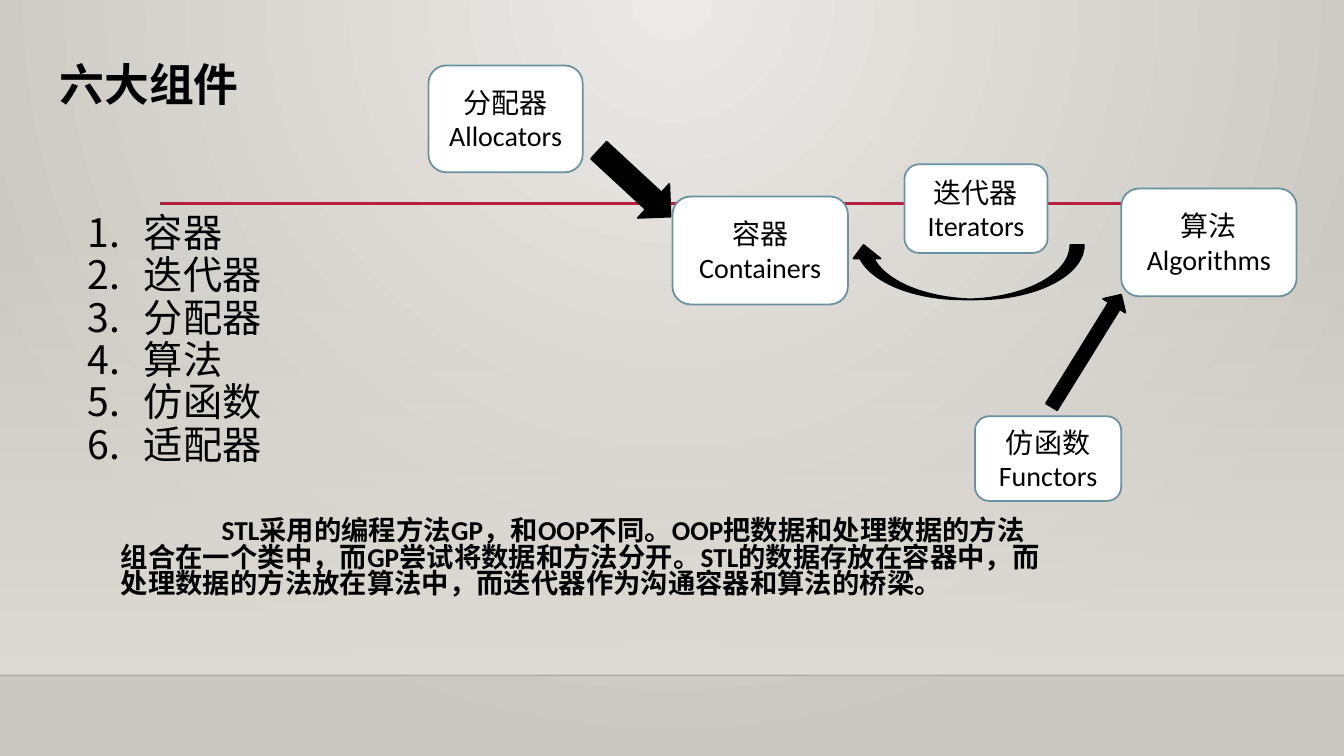
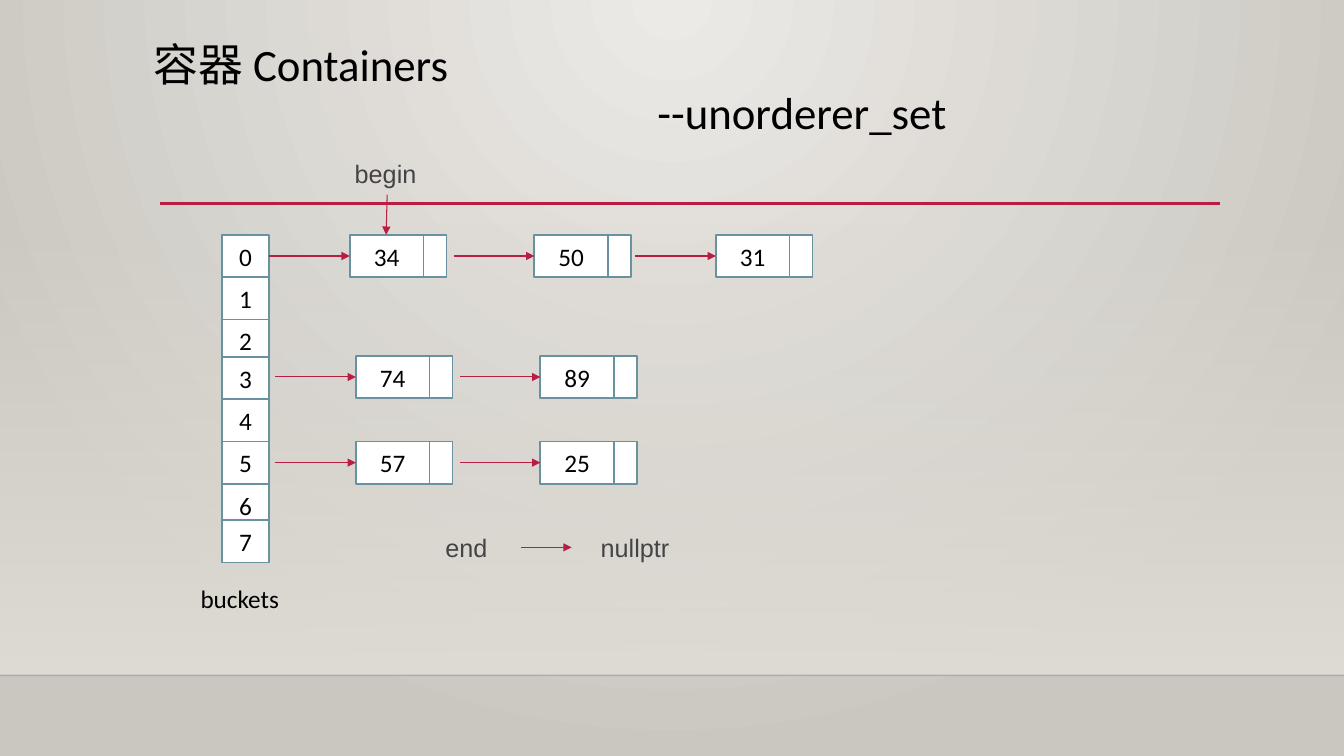
"""Build two slides on the six STL components and the hash set container."""
from dataclasses import dataclass
from typing import Any

from lxml.etree import SubElement
from pptx import Presentation
from pptx.dml.color import RGBColor
from pptx.enum.shapes import MSO_CONNECTOR, MSO_SHAPE
from pptx.enum.text import MSO_ANCHOR, MSO_AUTO_SIZE, PP_ALIGN
from pptx.oxml import parse_xml
from pptx.oxml.ns import nsdecls, qn
from pptx.util import Inches, Pt

BLACK = RGBColor(0x00, 0x00, 0x00)
WHITE = RGBColor(0xFF, 0xFF, 0xFF)
GRAY = RGBColor(0x44, 0x44, 0x44)
CRIMSON = RGBColor(0xB7, 0x1E, 0x42)
TEAL = RGBColor(0x68, 0x92, 0xA0)
GLOW = RGBColor(0xEC, 0xEA, 0xE7)
STONE = RGBColor(0xCA, 0xC7, 0xC1)
SAND = RGBColor(0xDF, 0xDB, 0xD5)
HORIZON = RGBColor(0x00, 0x00, 0x01)

TITLE_FONT = {"name": "Calibri", "size": Pt(32), "bold": False}
LIST_FONT = {"name": "Calibri", "size": Pt(28)}
BLOCK_FONT = {"name": "Calibri", "size": Pt(20)}
NOTE_FONT = {"name": "Calibri", "size": Pt(19.5), "bold": True}
CELL_FONT = {"name": "Calibri", "size": Pt(18)}
LABEL_FONT = {"name": "Arial", "size": Pt(18)}

CENTERED = {"alignment": PP_ALIGN.CENTER}
TIGHT = {"alignment": PP_ALIGN.LEFT, "line_spacing": 0.9}
TIGHTER = {"alignment": PP_ALIGN.LEFT, "line_spacing": 0.8}
TOP_FRAME = {"word_wrap": True, "vertical_anchor": MSO_ANCHOR.TOP,
             "auto_size": MSO_AUTO_SIZE.NONE}

CELL_HEIGHT = 0.42
BUCKET_LEFT, BUCKET_WIDTH = 2.2, 0.47
VALUE_WIDTH, POINTER_WIDTH = 0.73, 0.23
LINK_LENGTH = 0.8


@dataclass(frozen=True)
class Box:
    """A position and size in inches."""
    left: float
    top: float
    width: float
    height: float

    def lengths(self) -> list[Inches]:
        """Return the four values as lengths."""
        return [Inches(v) for v in (self.left, self.top, self.width, self.height)]


@dataclass(frozen=True)
class Component:
    """A named STL component."""
    box: Box
    chinese: str
    english: str


@dataclass(frozen=True)
class Arrow:
    """A solid block arrow."""
    box: Box
    kind: MSO_SHAPE
    rotation: float


@dataclass(frozen=True)
class Chain:
    """A linked list hanging from one bucket."""
    top: float
    lefts: tuple[float, ...]
    values: tuple[str, ...]


@dataclass(frozen=True)
class Label:
    """A caption beside the hash table."""
    box: Box
    text: str
    font: dict[str, Any]
    color: RGBColor


COMPONENTS = (
    Component(Box(4.25, 0.65, 1.53, 1.06), "分配器", "Allocators"),
    Component(Box(6.67, 1.95, 1.74, 1.07), "容器", "Containers"),
    Component(Box(8.97, 1.63, 1.42, 0.88), "迭代器", "Iterators"),
    Component(Box(11.12, 1.87, 1.74, 1.07), "算法", "Algorithms"),
    Component(Box(9.67, 4.13, 1.45, 0.84), "仿函数", "Functors"),
)
ALLOCATION = Arrow(Box(5.81, 1.59, 0.97, 0.46), MSO_SHAPE.RIGHT_ARROW, 42.8)
ITERATION = Arrow(Box(8.43, 2.43, 2.32, 0.54), MSO_SHAPE.CURVED_DOWN_ARROW, 180)
FUNCTION_USE = Arrow(Box(10.12, 3.35, 1.31, 0.26), MSO_SHAPE.RIGHT_ARROW, 301.8)
COMPONENT_NAMES = ("容器", "迭代器", "分配器", "算法", "仿函数", "适配器")
EXPLANATION = (
    "STL采用的编程方法GP，和OOP不同。OOP把数据和处理数据的方法组合在一个类中，"
    "而GP尝试将数据和方法分开。STL的数据存放在容器中，而处理数据的方法放在算法中，"
    "而迭代器作为沟通容器和算法的桥梁。"
)

BUCKET_GROUPS = ((2.33, "012"), (3.54, "3456"), (5.16, "7"))
CHAINS = (
    Chain(2.33, (3.47, 5.3, 7.1), ("34", "50", "31")),
    Chain(3.53, (3.53, 5.36), ("74", "89")),
    Chain(4.38, (3.53, 5.36), ("57", "25")),
)
LABELS = (
    Label(Box(1.89, 5.74, 1.08, 0.71), "buckets", CELL_FONT, BLACK),
    Label(Box(3.42, 1.52, 0.84, 0.4), "begin", LABEL_FONT, GRAY),
    Label(Box(4.32, 5.23, 0.84, 0.4), "end", LABEL_FONT, GRAY),
    Label(Box(5.86, 5.23, 0.97, 0.71), "nullptr", LABEL_FONT, GRAY),
)


def apply_format(target: Any, values: dict[str, Any]) -> None:
    """Set every attribute named in the format."""
    for name, value in values.items():
        setattr(target, name, value)


def write(frame: Any, lines: tuple[str, ...], font: dict[str, Any],
          layout: dict[str, Any], color: RGBColor = BLACK) -> None:
    """Write one formatted paragraph per line."""
    for index, line in enumerate(lines):
        paragraph = frame.add_paragraph() if index else frame.paragraphs[0]
        apply_format(paragraph, layout)
        run = paragraph.add_run()
        run.text = line
        apply_format(run.font, font)
        run.font.color.rgb = color


def indent(paragraph: Any, left: float, first: float) -> Any:
    """Indent a paragraph and return its properties."""
    properties = paragraph._p.get_or_add_pPr()
    properties.set("marL", str(Inches(left)))
    properties.set("indent", str(Inches(first)))
    return properties


def add_title(slide: Any, box: Box, lines: tuple[str, ...], bold: bool) -> Any:
    """Place and write the slide title."""
    title = slide.shapes.title
    title.left, title.top, title.width, title.height = box.lengths()
    apply_format(title.text_frame, TOP_FRAME)
    write(title.text_frame, lines, {**TITLE_FONT, "bold": bold}, TIGHT)
    return title.text_frame


def add_text(slide: Any, box: Box, lines: tuple[str, ...], font: dict[str, Any],
             layout: dict[str, Any], color: RGBColor = BLACK) -> Any:
    """Add a wrapped text box."""
    frame = slide.shapes.add_textbox(*box.lengths()).text_frame
    apply_format(frame, TOP_FRAME)
    write(frame, lines, font, layout, color)
    return frame


def add_block(slide: Any, kind: MSO_SHAPE, box: Box, fill: RGBColor = WHITE,
              outline: RGBColor = TEAL) -> Any:
    """Add a filled and outlined shape."""
    block = slide.shapes.add_shape(kind, *box.lengths())
    block.shadow.inherit = False
    block.fill.solid()
    block.fill.fore_color.rgb = fill
    block.line.color.rgb = outline
    block.line.width = Pt(1.25)
    return block


def add_line(slide: Any, start: tuple[float, float], end: tuple[float, float],
             color: RGBColor = CRIMSON, width: float = 0.75, pointed: bool = True) -> Any:
    """Add a straight line, pointed at its end if wanted."""
    points = [Inches(v) for v in (*start, *end)]
    line = slide.shapes.add_connector(MSO_CONNECTOR.STRAIGHT, *points)
    line.line.color.rgb = color
    line.line.width = Pt(width)
    properties = line.element.spPr
    if pointed:
        SubElement(properties.find(qn("a:ln")), qn("a:tailEnd"), type="triangle")
    SubElement(properties, qn("a:effectLst"))
    return line


def set_stops(fill: Any, colors: tuple[RGBColor, RGBColor]) -> None:
    """Make a two-stop gradient."""
    fill.gradient()
    for stop, position, color in zip(fill.gradient_stops, (0, 1), colors):
        stop.position = position
        stop.color.rgb = color


def set_opacity(element: Any, percent: int) -> None:
    """Set the opacity of the first colour in an element."""
    color = next(element.iter(qn("a:srgbClr")))
    SubElement(color, qn("a:alpha"), val=str(percent * 1000))


def decorate_layout(layout: Any, slide: Any) -> None:
    """Give the layout its background, floor band and rules."""
    set_stops(layout.background.fill, (GLOW, STONE))
    linear = next(layout.element.iter(qn("a:lin")))
    linear.getparent().replace(linear, parse_xml(
        f'<a:path {nsdecls("a")} path="circle">'
        '<a:fillToRect l="43000" t="0" r="43000" b="100000"/></a:path>'))

    band = add_block(slide, MSO_SHAPE.RECTANGLE, Box(0, 2.21, 13.33, 4.49))
    band.line.fill.background()
    set_stops(band.fill, (SAND, SAND))
    band.fill.gradient_angle = 270
    set_opacity(band.element.spPr, 0)

    horizon = add_line(slide, (0, 6.7), (13.33, 6.7), HORIZON, 1, False)
    set_opacity(horizon.element.spPr, 20)
    title_rule = add_line(slide, (1.59, 2.02), (12.1, 2.02), CRIMSON, 2.5, False)
    for part in (band, horizon, title_rule):
        layout.shapes.element.append(part.element)


def add_arrow(slide: Any, arrow: Arrow) -> None:
    """Draw a block arrow."""
    add_block(slide, arrow.kind, arrow.box, BLACK, BLACK).rotation = arrow.rotation


def build_components(slide: Any) -> None:
    """Draw the six components and how they work together."""
    add_arrow(slide, ALLOCATION)
    add_title(slide, Box(0.49, 0.57, 10.5, 0.64), ("六大组件",), True)
    names = add_text(slide, Box(0.77, 2.07, 2.67, 3.04), COMPONENT_NAMES, LIST_FONT, TIGHT)
    for paragraph in names.paragraphs:
        SubElement(indent(paragraph, 0.56, -0.56), qn("a:buAutoNum"), type="arabicPeriod")
    for component in COMPONENTS:
        block = add_block(slide, MSO_SHAPE.FLOWCHART_ALTERNATE_PROCESS, component.box)
        write(block.text_frame, (component.chinese, component.english), BLOCK_FONT, CENTERED)
    for arrow in (ITERATION, FUNCTION_USE):
        add_arrow(slide, arrow)
    note = add_text(slide, Box(1.1, 5.11, 9.38, 0.97), (EXPLANATION,), NOTE_FONT, TIGHTER)
    indent(note.paragraphs[0], 0, 1)


def add_cell(slide: Any, left: float, top: float, width: float, text: str = "") -> None:
    """Draw one cell of the hash table."""
    cell = add_block(slide, MSO_SHAPE.RECTANGLE, Box(left, top, width, CELL_HEIGHT))
    if text:
        write(cell.text_frame, (text,), CELL_FONT, CENTERED)


def build_hash_set(slide: Any) -> None:
    """Draw the buckets and the chains hanging from them."""
    heading = add_title(slide, Box(1.42, 0.37, 10.5, 1.15),
                        ("容器 Containers", "--unorderer_set"), False)
    for paragraph, left in zip(heading.paragraphs, (0, 5)):
        indent(paragraph, left, 0).insert_element_before(
            parse_xml(f'<a:spcBef {nsdecls("a")}><a:spcPts val="0"/></a:spcBef>'),
            "a:spcAft", "a:buNone")
    for top, buckets in BUCKET_GROUPS:
        for row, bucket in enumerate(buckets):
            add_cell(slide, BUCKET_LEFT, top + row * CELL_HEIGHT, BUCKET_WIDTH, bucket)
    for chain in CHAINS:
        middle = chain.top + CELL_HEIGHT / 2
        for left, value in zip(chain.lefts, chain.values):
            add_cell(slide, left, chain.top, VALUE_WIDTH, value)
            add_cell(slide, left + VALUE_WIDTH, chain.top, POINTER_WIDTH)
            add_line(slide, (left - LINK_LENGTH, middle), (left, middle))
    for label in LABELS:
        add_text(slide, label.box, (label.text,), label.font, {}, label.color)
    add_line(slide, (3.84, 1.93), (3.83, 2.33))
    add_line(slide, (5.17, 5.43), (5.67, 5.43))


def main() -> None:
    """Build and save the presentation."""
    deck = Presentation()
    deck.slide_width, deck.slide_height = Inches(13.33), Inches(7.5)
    title_only = deck.slide_layouts[5]
    components, hash_set = (deck.slides.add_slide(title_only) for _ in range(2))
    decorate_layout(title_only, components)
    build_components(components)
    build_hash_set(hash_set)
    deck.save("out.pptx")


if __name__ == "__main__":
    main()
